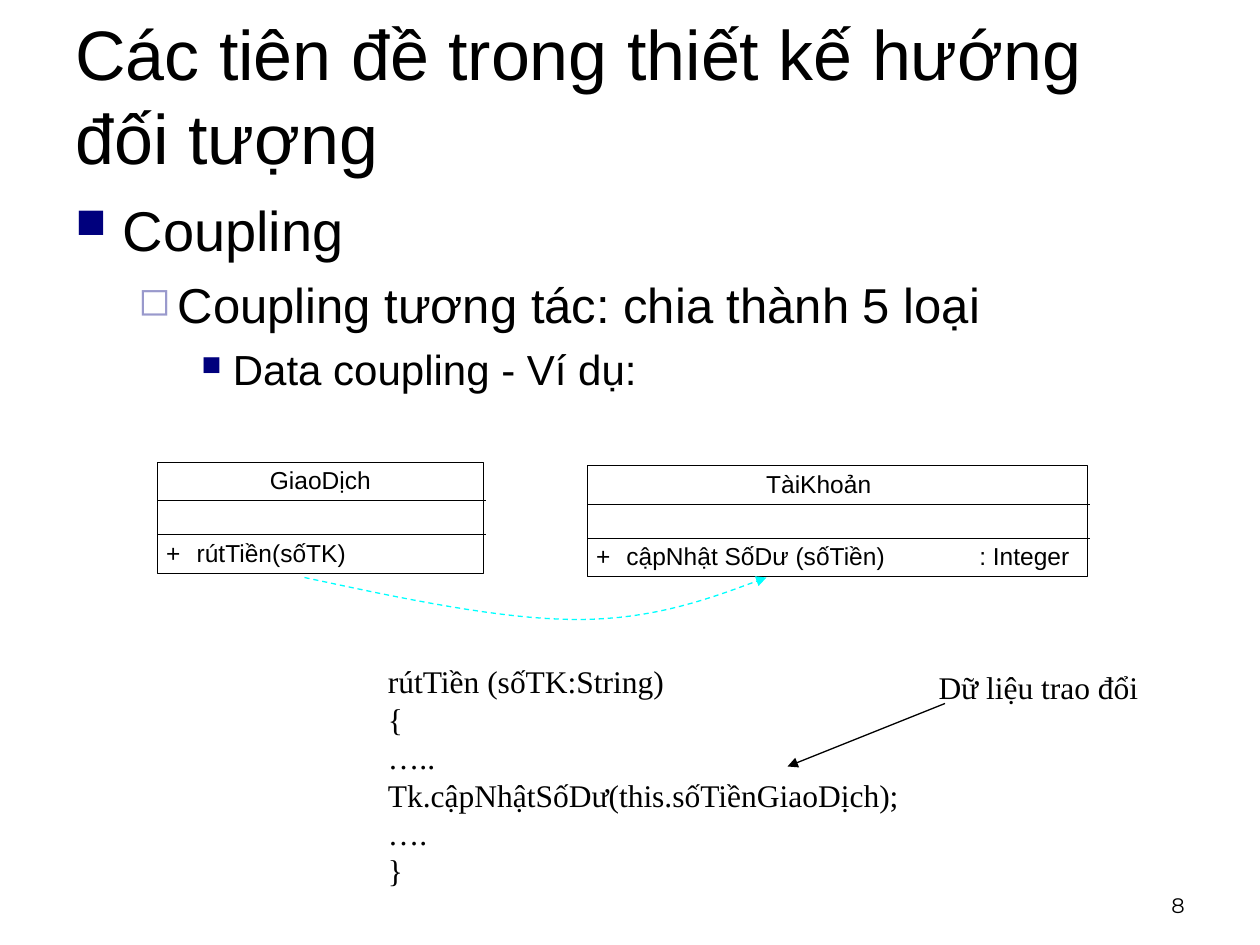
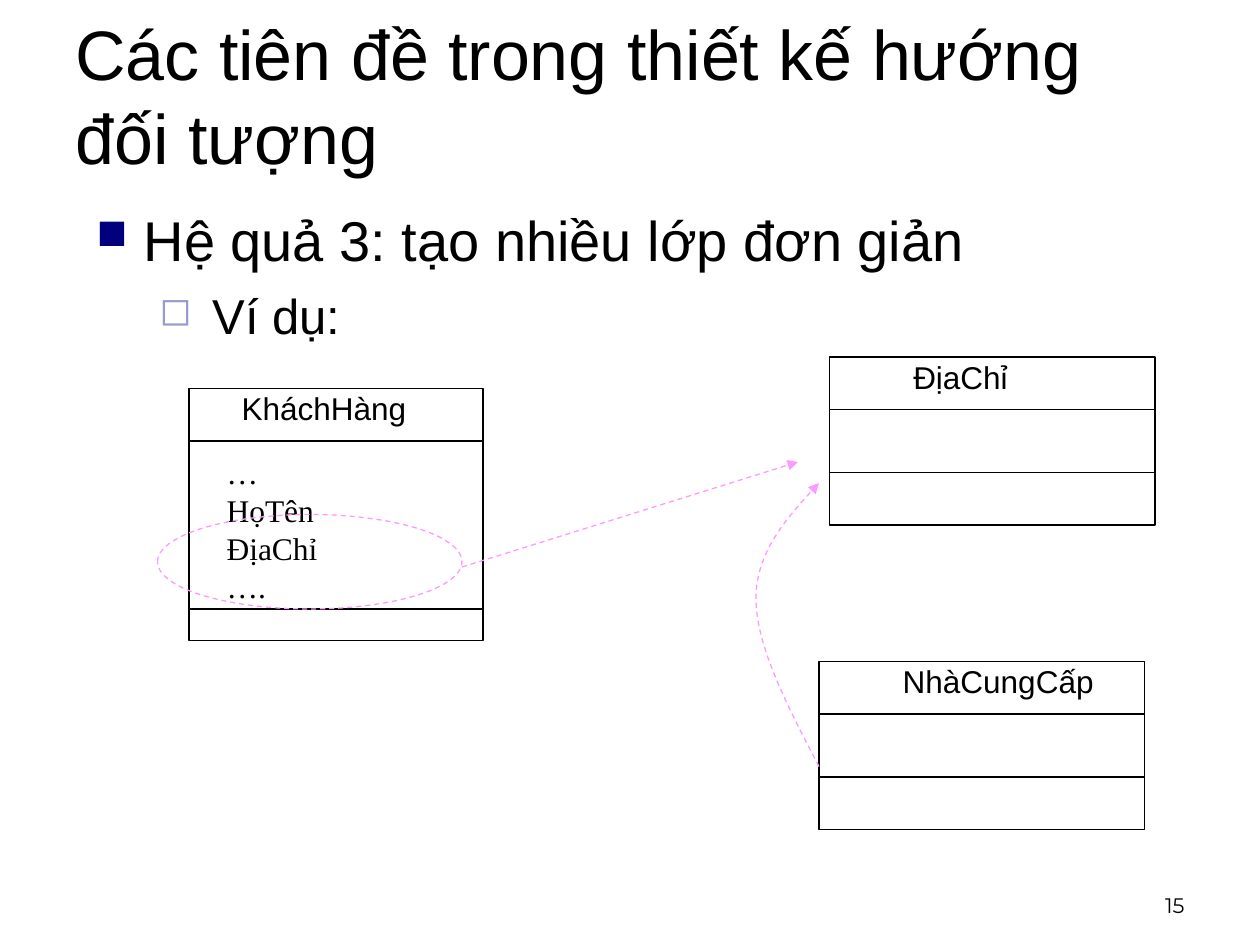
from pptx import Presentation
from pptx.dml.color import RGBColor
from pptx.enum.dml import MSO_LINE_DASH_STYLE as Dash
from pptx.enum.shapes import MSO_CONNECTOR as Connector, MSO_SHAPE as Preset
from pptx.enum.text import MSO_ANCHOR as Anchor, PP_ALIGN as Align
from pptx.oxml.ns import qn
from pptx.util import Pt
from lxml.etree import SubElement

BLACK, WHITE, NAVY, LAVENDER = "000000", "FFFFFF", "00007D", "9999CC"
CYAN, PINK = "00FFFF", "FF99FF"
SANS, SERIF, NUMBER_FONT = "Arial", "Times New Roman", "Montserrat"
HAIRLINE = 0.25
HEADING = "Các tiên đề trong thiết kế hướng đối tượng"
LEVELS = [
    dict(margin=27, hang=27, size=32, before=8, bullet="■", color=NAVY, percent=75),
    dict(margin=58.5, hang=22.5, size=28, before=7, bullet="◻", color=LAVENDER, percent=80),
    dict(margin=90, hang=18, size=24, before=6, bullet="■", color=NAVY, percent=65),
]
NO_INSETS = dict(margin_left=0, margin_top=0, margin_right=0, margin_bottom=0)


def rgb(color):
    return RGBColor.from_string(color)


def assign(target, values):
    for attribute, value in values.items():
        setattr(target, attribute, value)


def bezier(start, first, second, end, steps=16):
    for step in range(1, steps + 1):
        t = step / steps
        weights = ((1 - t) ** 3, 3 * t * (1 - t) ** 2, 3 * t * t * (1 - t), t ** 3)
        yield tuple(
            Pt(sum(w * value for w, value in zip(weights, axis)))
            for axis in zip(start, first, second, end)
        )


class Deck:
    def __init__(self):
        self.show = Presentation()
        assign(self.show, dict(slide_width=Pt(720), slide_height=Pt(540)))
        self.slide = None

    def start_slide(self, number):
        self.slide = self.show.slides.add_slide(self.show.slide_layouts[6])
        self.text((36, 0, 648, 108), [HEADING], 40, vertical_anchor=Anchor.MIDDLE)
        self.text((516, 492, 168, 36), [number], 12, NUMBER_FONT, Align.RIGHT,
                  vertical_anchor=Anchor.BOTTOM)

    def text(self, area, lines, size=18, font=SANS, align=Align.LEFT, **frame_format):
        frame = self.slide.shapes.add_textbox(*map(Pt, area)).text_frame
        assign(frame, dict(word_wrap=True) | frame_format)
        for index, line in enumerate(lines):
            paragraph = frame.paragraphs[0] if index == 0 else frame.add_paragraph()
            paragraph.alignment = align
            run = paragraph.add_run()
            run.text = line
            assign(run.font, dict(size=Pt(size), name=font))
            run.font.color.rgb = rgb(BLACK)
        return frame

    def outline(self, area, lines, gap=0):
        frame = self.text(area, lines)
        for depth, (paragraph, level) in enumerate(zip(frame.paragraphs, LEVELS)):
            extra = gap if depth == len(lines) - 1 else 0
            assign(paragraph, dict(level=depth, space_before=Pt(level["before"])))
            paragraph.runs[0].font.size = Pt(level["size"])
            props = paragraph._p.get_or_add_pPr()
            props.set("marL", str(Pt(level["margin"] + extra)))
            props.set("indent", str(-Pt(level["hang"] + extra)))
            tint = SubElement(props, qn("a:buClr"))
            SubElement(tint, qn("a:srgbClr"), val=level["color"])
            SubElement(props, qn("a:buSzPct"), val=str(level["percent"] * 1000))
            SubElement(props, qn("a:buChar"), char=level["bullet"])

    def stroke(self, drawn, color, width, dashed=False, arrow=False):
        drawn.line.color.rgb = rgb(color)
        drawn.line.width = Pt(width)
        if dashed:
            drawn.line.dash_style = Dash.DASH
        if arrow:
            SubElement(drawn.element.spPr.get_or_add_ln(), qn("a:tailEnd"), type="triangle")

    def box(self, area, fill=None, preset=Preset.RECTANGLE, color=BLACK, width=0.75, dashed=False):
        drawn = self.slide.shapes.add_shape(preset, *map(Pt, area))
        drawn.shadow.inherit = False
        if fill:
            drawn.fill.solid()
            drawn.fill.fore_color.rgb = rgb(fill)
        else:
            drawn.fill.background()
        self.stroke(drawn, color, width, dashed)

    def line(self, start, end, color=BLACK, width=0.75, **style):
        drawn = self.slide.shapes.add_connector(Connector.STRAIGHT, *map(Pt, start + end))
        self.stroke(drawn, color, width, **style)
        SubElement(drawn.element.spPr, qn("a:effectLst"))

    def curved_arrow(self, color, start, *bends):
        builder = self.slide.shapes.build_freeform(*map(Pt, start))
        for first, second, end in bends:
            builder.add_line_segments(list(bezier(start, first, second, end)), close=False)
            start = end
        drawn = builder.convert_to_shape()
        drawn.shadow.inherit = False
        drawn.fill.background()
        self.stroke(drawn, color, 0.75, dashed=True, arrow=True)

    def class_with_method(self, left, top, width, name, name_left, *parts):
        self.box((left, top, width, 63.4), WHITE, width=HAIRLINE)
        for drop in (22, 41.4):
            self.line((left, top + drop), (left + width + 1.6, top + drop), width=HAIRLINE)
        self.text((left + name_left, top + 2, width - name_left, 16.6), [name], 14, **NO_INSETS)
        for part, part_left, part_width in (("+", 5, 14), *parts):
            self.text((left + part_left, top + 43.4, part_width, 16.6), [part], 14, **NO_INSETS)

    def class_with_fields(self, left, top, width, fields_height, last_height, name, name_left):
        head = 30
        self.box((left, top, width, head + fields_height + last_height))
        self.box((left, top + head, width, fields_height))
        self.text((left + name_left, top - 3, width - name_left, 28.8), [name])


def coupling_slide(deck):
    deck.start_slide("8")
    deck.outline((36, 108, 648, 396),
                 ["Coupling", "Coupling tương tác: chia thành 5 loại", "Data coupling - Ví dụ:"])
    deck.class_with_method(90, 264, 186, "GiaoDịch", 64.2, ("rútTiền(sốTK)", 22.4, 110))
    deck.class_with_method(335.6, 266, 285.8, "TàiKhoản", 102.2,
                           ("cậpNhật SốDư (sốTiền)", 22.4, 180), (": Integer", 224, 60))
    deck.curved_arrow(CYAN, (174, 330),
                      ((230, 342), (286, 354), (330, 354)),
                      ((374, 354), (406, 342), (438, 330)))
    deck.text((214.6, 375, 330, 136.8),
              ["rútTiền (sốTK:String)", "{", "…..", "Tk.cậpNhậtSốDư(this.sốTiềnGiaoDịch);", "….", "}"],
              font=SERIF)
    deck.text((529.2, 378, 170, 28.8), ["Dữ liệu trao đổi"], font=SERIF)
    deck.line((540, 402), (450, 438), arrow=True)


def simple_classes_slide(deck):
    deck.start_slide("15")
    deck.outline((48, 114, 648, 396), ["Hệ quả 3: tạo nhiều lớp đơn giản", "Ví dụ:"], gap=8)
    deck.class_with_fields(108, 222, 168, 96, 18, "KháchHàng", 23)
    deck.text((122.4, 255.6, 100, 93.6), ["…", "HọTên", "ĐịaChỉ", "…."], font=SERIF)
    deck.class_with_fields(474, 204, 186, 36, 30, "ĐịaChỉ", 40.8)
    deck.box((90, 294, 174, 54), preset=Preset.OVAL, color=PINK, dashed=True)
    deck.line((264, 324), (456, 264), PINK, dashed=True, arrow=True)
    deck.class_with_fields(468, 378, 186, 36, 30, "NhàCungCấp", 40.8)
    deck.curved_arrow(PINK, (468, 438),
                      ((450, 403.5), (432, 369), (432, 342)),
                      ((432, 315), (450, 295.5), (468, 276)))


def main():
    deck = Deck()
    coupling_slide(deck)
    simple_classes_slide(deck)
    deck.show.save("out.pptx")


if __name__ == "__main__":
    main()
